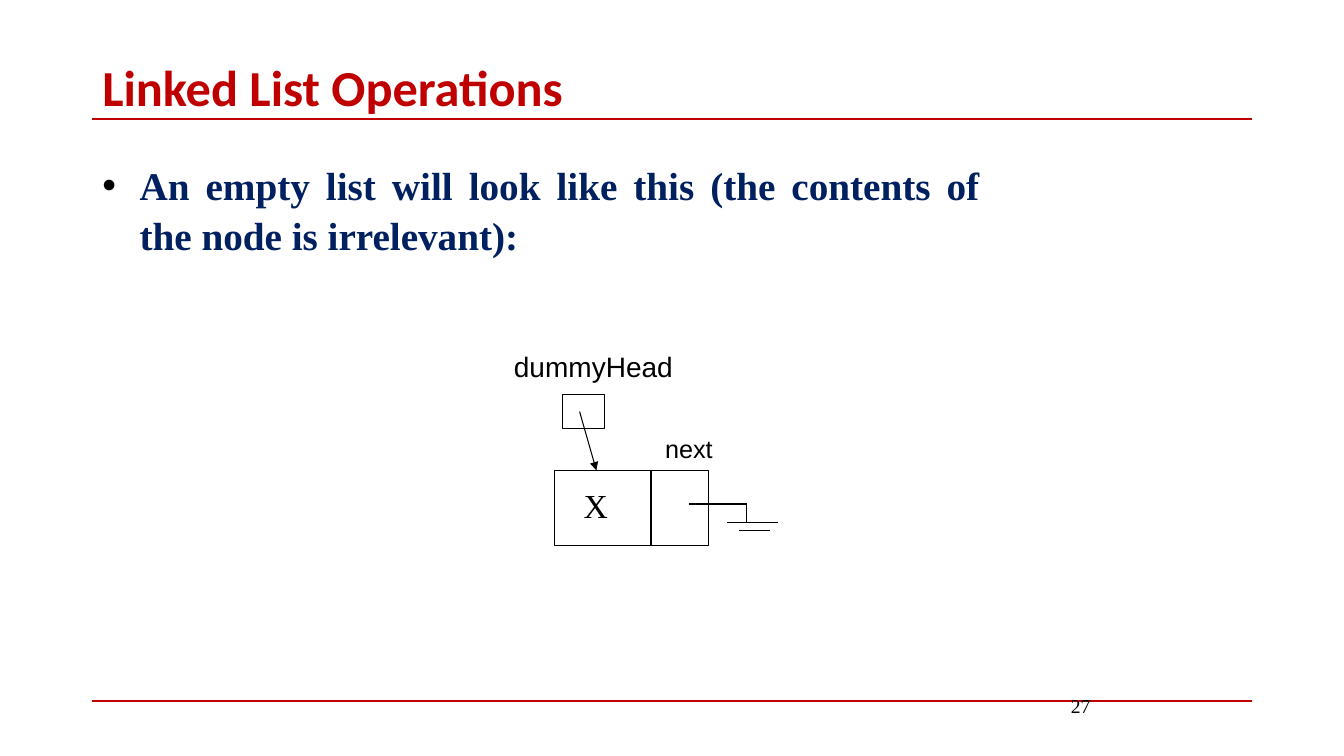
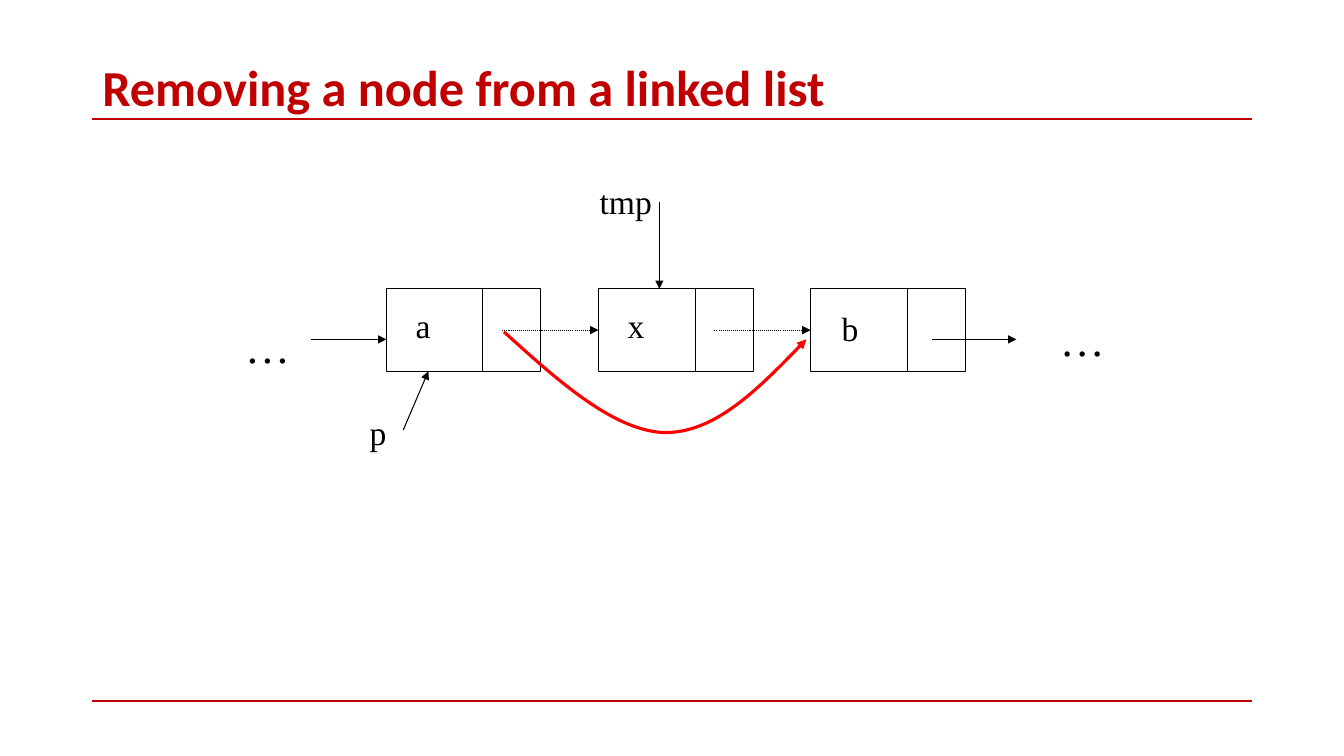
from lxml.etree import SubElement
from pptx import Presentation
from pptx.dml.color import RGBColor
from pptx.enum.dml import MSO_LINE
from pptx.enum.shapes import MSO_CONNECTOR, MSO_SHAPE
from pptx.enum.text import MSO_ANCHOR, PP_ALIGN
from pptx.oxml.ns import qn
from pptx.util import Emu, Inches, Pt

COLUMNS, ROWS = 160, 90
CELL = Inches(13.5) // 162
RED = RGBColor(0xC0, 0x00, 0x00)
BYPASS_RED = RGBColor(0xFF, 0x00, 0x00)
NAVY = RGBColor(0x00, 0x20, 0x60)
BLACK = RGBColor(0x00, 0x00, 0x00)
WHITE = RGBColor(0xFF, 0xFF, 0xFF)
SERIF, SANS, HEADING = "Times New Roman", "Arial", "Calibri"
MARGIN, CONTENT_WIDTH = 11, 138
NODE_WIDTH, NODE_PITCH, DATA_SHARE = 18.4, 25.25, 0.625
TOP, LEFT, RIGHT = 0, 1, 3


def grid(*cells):
    return [Emu(round(cell * CELL)) for cell in cells]


def add_text(slide, box, words, size, font=SERIF, color=BLACK, bold=False,
             align=PP_ALIGN.LEFT, anchor=MSO_ANCHOR.TOP, spacing=None, bullet=False):
    frame = slide.shapes.add_textbox(*grid(*box)).text_frame
    frame.word_wrap = True
    frame.vertical_anchor = anchor
    paragraph = frame.paragraphs[0]
    paragraph.alignment = align
    if spacing:
        paragraph.line_spacing = spacing
    if bullet:
        add_bullet(paragraph)
    run = paragraph.add_run()
    run.text = words
    run.font.size = Pt(size)
    run.font.name = font
    run.font.bold = bold
    run.font.color.rgb = color


def add_bullet(paragraph):
    properties = paragraph._p.get_or_add_pPr()
    indent = Inches(0.37)
    properties.set("marL", str(indent))
    properties.set("indent", str(-indent))
    bullet_color = SubElement(properties, qn("a:buClr"))
    SubElement(bullet_color, qn("a:srgbClr"), val=str(BLACK))
    SubElement(properties, qn("a:buFont"), typeface=SANS)
    SubElement(properties, qn("a:buChar"), char="•")


def add_arrowhead(line):
    SubElement(line._get_or_add_ln(), qn("a:tailEnd"), type="triangle")


def add_line(slide, start, end, color=BLACK, width=0.75, arrow=False, dotted=False):
    connector = slide.shapes.add_connector(MSO_CONNECTOR.STRAIGHT, *grid(*start, *end))
    connector.line.color.rgb = color
    connector.line.width = Pt(width)
    if dotted:
        connector.line.dash_style = MSO_LINE.ROUND_DOT
    if arrow:
        add_arrowhead(connector.line)
    SubElement(connector._element.spPr, qn("a:effectLst"))
    return connector


def add_cell(slide, box, fill=None):
    cell = slide.shapes.add_shape(MSO_SHAPE.RECTANGLE, *grid(*box))
    cell.shadow.inherit = False
    if fill is None:
        cell.fill.background()
    else:
        cell.fill.solid()
        cell.fill.fore_color.rgb = fill
    cell.line.color.rgb = BLACK
    cell.line.width = Pt(0.75)
    return cell


def add_node(slide, left, top, height, value, value_shift=(2.3, 1.3)):
    node = add_cell(slide, (left, top, NODE_WIDTH, height), WHITE)
    divider = left + NODE_WIDTH * DATA_SHARE
    add_line(slide, (divider, top), (divider, top + height))
    shift_x, shift_y = value_shift
    add_text(slide, (left + shift_x, top + shift_y, 9.2, 7), value, 24)
    return node


def add_ground(slide, left, top):
    stem = left + 6.9
    add_line(slide, (left, top), (stem, top))
    add_line(slide, (stem, top), (stem, top + 2.2))
    add_line(slide, (left + 4.6, top + 2.2), (left + 10.6, top + 2.2))
    add_line(slide, (left + 6, top + 3.1), (left + 9.7, top + 3.1))


def add_bypass(slide, start, curves):
    points = [grid(*point) for point in (start, *curves)]
    builder = slide.shapes.build_freeform(*points[0])
    builder.add_line_segments(points[1:], close=False)
    bypass = builder.convert_to_shape()
    outline = next(bypass._element.iter(qn("a:path")))
    segments = outline.findall(qn("a:lnTo"))
    for first in range(0, len(segments), 3):
        bezier = SubElement(outline, qn("a:cubicBezTo"))
        for segment in segments[first:first + 3]:
            bezier.append(segment[0])
            outline.remove(segment)
    bypass.shadow.inherit = False
    bypass.fill.background()
    bypass.line.color.rgb = BYPASS_RED
    bypass.line.width = Pt(2.25)
    add_arrowhead(bypass.line)


def add_framed_slide(deck, title):
    slide = deck.slides.add_slide(deck.slide_layouts[6])
    for rule in (14.2, 83.4):
        add_line(slide, (MARGIN, rule), (MARGIN + CONTENT_WIDTH, rule), RED, 1.5)
    add_text(slide, (MARGIN, 7.3, CONTENT_WIDTH, 7), title, 36, HEADING, RED, True,
             anchor=MSO_ANCHOR.MIDDLE, spacing=0.9)
    return slide


def draw_empty_list(slide, left, top):
    add_node(slide, left + 6, top + 15, 8.9, "X", (2.3, 1.1))
    add_ground(slide, left + 22, top + 19)
    add_cell(slide, (left + 7, top + 6, 5, 4))
    add_line(slide, (left + 9, top + 8), (left + 11, top + 15), arrow=True)
    add_text(slide, (left, top, 33, 5.3), "dummyHead", 20, SANS)
    add_text(slide, (left + 18, top + 10, 11, 4.8), "next", 18, SANS)


def draw_removal(slide, left, top):
    first, row, height = left + 18, top + 13.4, 9.8
    values = (("a", (2.3, 1.3)), ("x", (2.3, 1.3)), ("b", (2.5, 1.7)))
    nodes = [add_node(slide, first + NODE_PITCH * index, row, height, value, shift)
             for index, (value, shift) in enumerate(values)]
    for index, target in enumerate(nodes[1:]):
        tail = first + NODE_PITCH * index + 13.8
        middle = row + height / 2
        link = add_line(slide, (tail, middle), (first + NODE_PITCH * (index + 1), middle),
                        arrow=True, dotted=True)
        link.end_connect(target, LEFT)

    chain = top + 19.4
    pointers = (
        ((left + 9, chain), (first, chain)),
        ((left + 83, chain), (left + 93, chain)),
        ((left + 20, top + 30.2), (left + 23, row + height)),
        ((left + 50.5, top + 3), (left + 50.5, row)),
    )
    for start, end in pointers:
        add_line(slide, start, end, arrow=True)

    for ellipsis_left, ellipsis_top in ((left, top + 16.4), (left + 97, top + 15.5)):
        add_text(slide, (ellipsis_left, ellipsis_top, 10, 7.6), "…", 32)
    for name, name_left, name_top in (("p", left + 8, top + 27.5), ("tmp", left + 37.5, top)):
        add_text(slide, (name_left, name_top, 18, 6), name, 24, align=PP_ALIGN.CENTER)

    curves = ((38.5, 24.4), (45, 30.2), (51, 30.5), (57, 30.6), (62.5, 25.1), (68, 19.4))
    add_bypass(slide, (left + 32, top + 18.5), [(left + x, top + y) for x, y in curves])


def main():
    deck = Presentation()
    deck.slide_width, deck.slide_height = grid(COLUMNS, ROWS)

    operations = add_framed_slide(deck, "Linked List Operations")
    add_text(operations, (106, 82, 25, 6), "27", 14, align=PP_ALIGN.RIGHT)
    add_text(operations, (MARGIN, 18.2, 106.8, 34),
             "An empty list will look like this (the contents of the node is irrelevant):",
             28, color=NAVY, bold=True, align=PP_ALIGN.JUSTIFY, spacing=1.07, bullet=True)
    draw_empty_list(operations, 60, 41)

    removal = add_framed_slide(deck, "Removing a node from a linked list")
    draw_removal(removal, 28, 21)

    deck.save("out.pptx")


if __name__ == "__main__":
    main()
